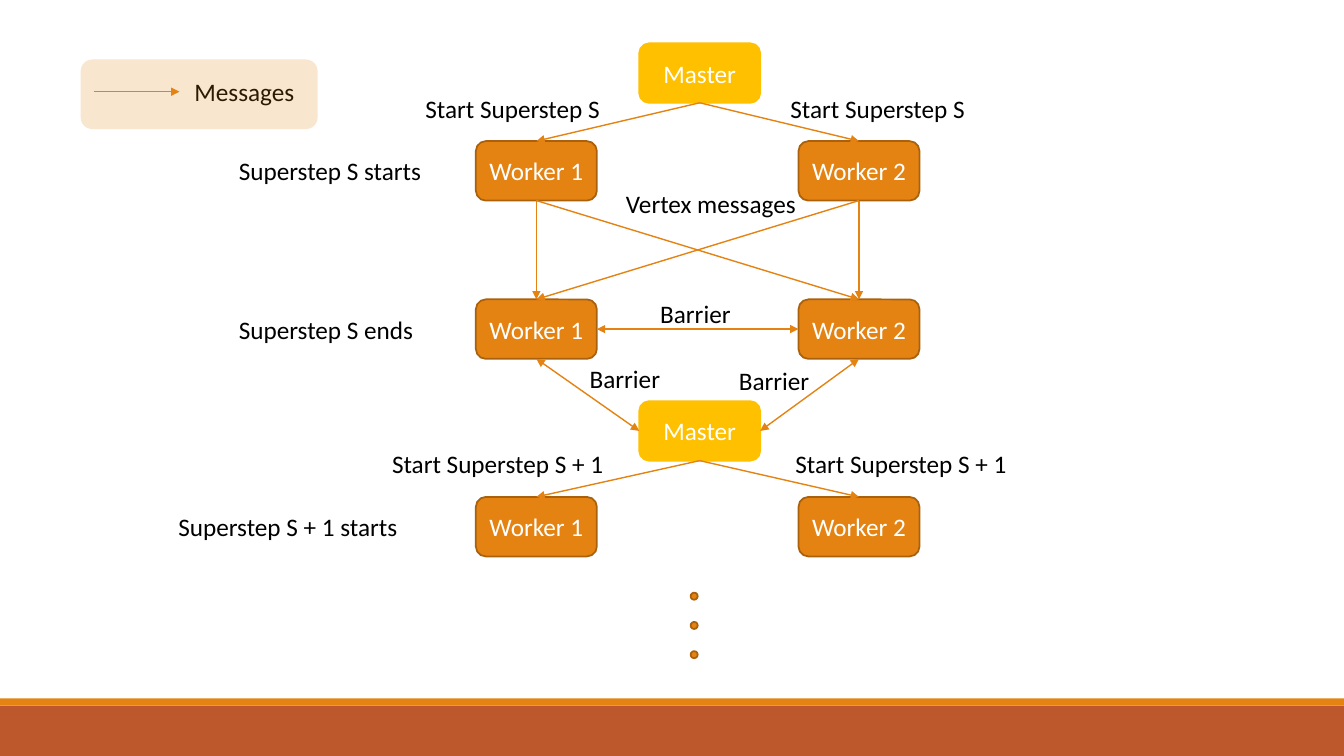
from dataclasses import dataclass

from lxml.etree import SubElement
from pptx import Presentation
from pptx.dml.color import RGBColor
from pptx.enum.shapes import MSO_CONNECTOR, MSO_SHAPE
from pptx.enum.text import MSO_ANCHOR, PP_ALIGN
from pptx.oxml.ns import qn
from pptx.util import Inches, Pt


@dataclass(frozen=True)
class Theme:
    orange: str = "E48312"
    outline: str = "A9610D"
    gold: str = "FFC000"
    rust: str = "BD582C"
    white: str = "FFFFFF"
    black: str = "000000"
    font: str = "Calibri"
    size: int = 18
    border: float = 1.25
    arrow: float = 1


theme = Theme()

NODE_WIDTH, NODE_HEIGHT = 1.2, 0.59
WORKER_COLUMNS = {"Worker 1": 4.72, "Worker 2": 7.92}
WORKER_ROWS = {"start": 1.4, "end": 2.97, "next": 4.93}
MASTER_LEFT = 6.34
MASTER_ROWS = {"first": 0.43, "second": 3.98}
TOP, LEFT, BOTTOM, RIGHT = range(4)

FIRST, SECOND = WORKER_COLUMNS
ARROWS = [
    (("start", source), BOTTOM, ("end", target), TOP, False)
    for source in WORKER_COLUMNS for target in WORKER_COLUMNS
] + [
    (("Master", master), BOTTOM, (row, worker), TOP, False)
    for master, row in (("first", "start"), ("second", "next"))
    for worker in WORKER_COLUMNS
] + [
    (("end", FIRST), RIGHT, ("end", SECOND), LEFT, True),
    (("end", FIRST), BOTTOM, ("Master", "second"), LEFT, True),
    (("end", SECOND), BOTTOM, ("Master", "second"), RIGHT, True),
]

LABELS = [
    ("Superstep S starts", 2.27, 1.49, 2.11),
    ("Superstep S ends", 2.27, 3.07, 2.11),
    ("Superstep S + 1 starts", 1.67, 5.02, 2.45),
    ("Start Superstep S", 4.12, 0.88, 2.01),
    ("Start Superstep S", 7.74, 0.88, 2.01),
    ("Start Superstep S + 1", 3.79, 4.4, 2.34),
    ("Start Superstep S + 1", 7.79, 4.4, 2.34),
    ("Vertex messages", 6.11, 1.82, 2.11),
    ("Barrier", 6.45, 2.91, 0.9),
    ("Barrier", 5.75, 3.56, 0.9),
    ("Barrier", 7.23, 3.58, 0.9),
    ("Messages", 1.83, 0.71, 1.2),
]
BANDS = [(7, 0.5, theme.rust), (6.93, 0.07, theme.orange)]
DOT_LEFT, DOT_TOP, DOT_STEP, DOT_SIZE, DOT_COUNT = 6.85, 5.88, 0.29, 0.07, 3
LEGEND_ARROW = (0.93, 0.91, 1.78, 0.91)
LEGEND_PANEL = (0.8, 0.59, 2.35, 0.69)
LEGEND_OPACITY = 20


def color(value):
    return RGBColor.from_string(value)


def apply(target, formats):
    for name, value in formats.items():
        setattr(target, name, value)


def add_box(kind, place, fill, outline=None):
    box = page.shapes.add_shape(kind, *map(Inches, place))
    box.shadow.inherit = False
    box.fill.solid()
    box.fill.fore_color.rgb = color(fill)
    if outline:
        box.line.color.rgb = color(outline)
        box.line.width = Pt(theme.border)
    else:
        box.line.fill.background()
    return box


def write(box, text, text_color, alignment, frame_formats):
    apply(box.text_frame, {"word_wrap": True, **frame_formats})
    para = box.text_frame.paragraphs[0]
    para.alignment = alignment
    span = para.add_run()
    span.text = text
    apply(span.font, {"name": theme.font, "size": Pt(theme.size)})
    span.font.color.rgb = color(text_color)


def add_node(text, left, top, fill, outline):
    place = (left, top, NODE_WIDTH, NODE_HEIGHT)
    node = add_box(MSO_SHAPE.ROUNDED_RECTANGLE, place, fill, outline)
    write(node, text, theme.white, PP_ALIGN.CENTER,
          {"vertical_anchor": MSO_ANCHOR.MIDDLE})
    return node


def add_arrow(ends=(0, 0, 0, 0), both_ways=False):
    arrow = page.shapes.add_connector(MSO_CONNECTOR.STRAIGHT, *map(Inches, ends))
    arrow.line.color.rgb = color(theme.orange)
    arrow.line.width = Pt(theme.arrow)
    properties = arrow.element.spPr
    line = properties.find(qn("a:ln"))
    for tag in ("a:headEnd", "a:tailEnd") if both_ways else ("a:tailEnd",):
        SubElement(line, qn(tag), type="triangle")
    SubElement(properties, qn("a:effectLst"))
    return arrow


deck = Presentation()
apply(deck, {"slide_width": Inches(13.33), "slide_height": Inches(7.5)})
page = deck.slides.add_slide(deck.slide_layouts[6])

for top, height, fill in BANDS:
    add_box(MSO_SHAPE.RECTANGLE, (0, top, 13.33, height), fill)

nodes = {}
for row, top in WORKER_ROWS.items():
    for worker, left in WORKER_COLUMNS.items():
        nodes[row, worker] = add_node(worker, left, top, theme.orange, theme.outline)
for row, top in MASTER_ROWS.items():
    nodes["Master", row] = add_node("Master", MASTER_LEFT, top, theme.gold, theme.gold)

for source, source_side, target, target_side, both_ways in ARROWS:
    arrow = add_arrow(both_ways=both_ways)
    arrow.begin_connect(nodes[source], source_side)
    arrow.end_connect(nodes[target], target_side)
add_arrow(LEGEND_ARROW)

for text, left, top, width in LABELS:
    label = page.shapes.add_textbox(*map(Inches, (left, top, width, 0.4)))
    write(label, text, theme.black, PP_ALIGN.LEFT, {"margin_right": 0})

for index in range(DOT_COUNT):
    place = (DOT_LEFT, DOT_TOP + index * DOT_STEP, DOT_SIZE, DOT_SIZE)
    add_box(MSO_SHAPE.OVAL, place, theme.orange, theme.outline)

panel = add_box(MSO_SHAPE.ROUNDED_RECTANGLE, LEGEND_PANEL, theme.orange)
panel_color = panel.element.spPr.find(qn("a:solidFill")).find(qn("a:srgbClr"))
SubElement(panel_color, qn("a:alpha"), val=str(LEGEND_OPACITY * 1000))

deck.save("out.pptx")
